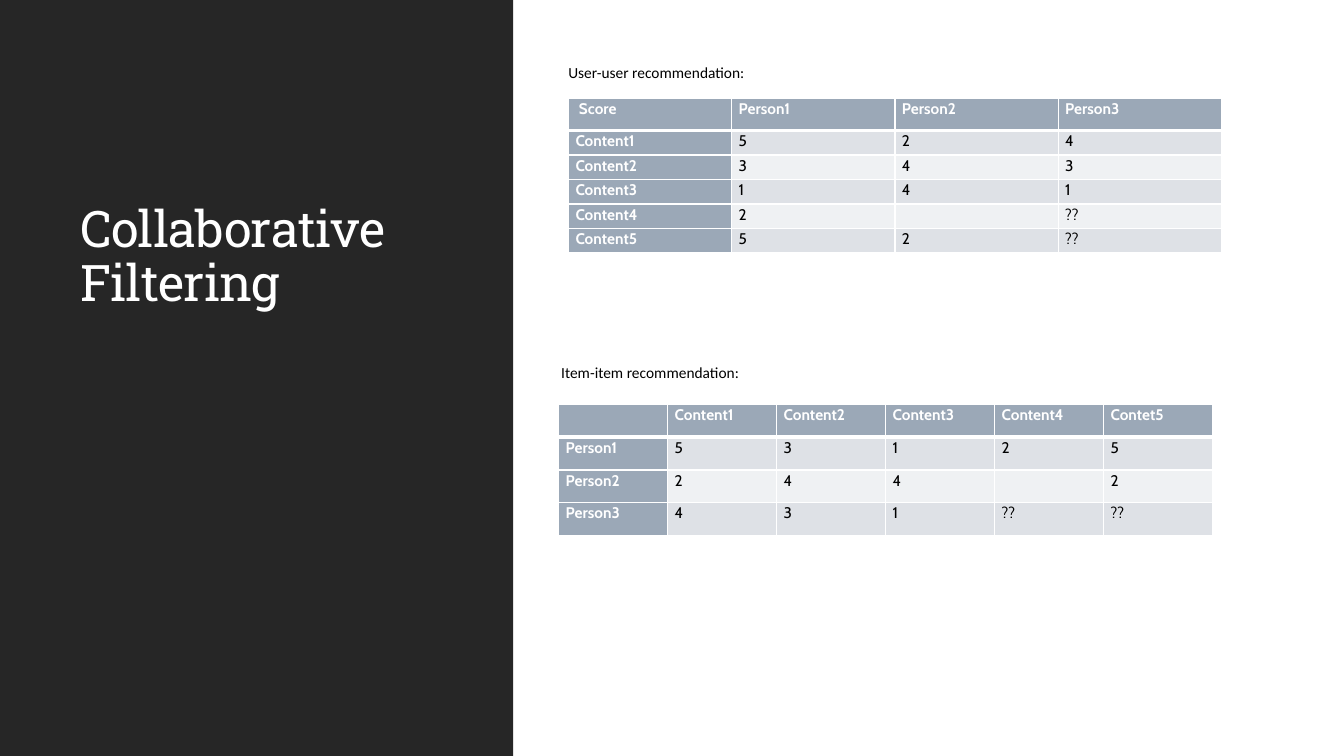
from pptx import Presentation
from pptx.dml.color import RGBColor
from pptx.enum.shapes import MSO_SHAPE
from pptx.enum.text import MSO_ANCHOR, MSO_AUTO_SIZE
from pptx.oxml import parse_xml
from pptx.oxml.ns import nsdecls
from pptx.util import Pt

DARK = RGBColor(0x26, 0x26, 0x26)
WHITE = RGBColor(0xFF, 0xFF, 0xFF)
BLACK = RGBColor(0, 0, 0)
HEAD = RGBColor(0x9B, 0xA8, 0xB7)
BANDS = [RGBColor(0xEF, 0xF1, 0xF3), RGBColor(0xDE, 0xE1, 0xE6)]

USERS = [
    [" Score", "Person1", "Person2", "Person3"],
    ["Content1", "5", "2", "4"],
    ["Content2", "3", "4", "3"],
    ["Content3", "1", "4", "1"],
    ["Content4", "2", "", "??"],
    ["Content5", "5", "2", "??"],
]
ITEMS = [
    ["", "Content1", "Content2", "Content3", "Content4", "Contet5"],
    ["Person1", "5", "3", "1", "2", "5"],
    ["Person2", "2", "4", "4", "", "2"],
    ["Person3", "4", "3", "1", "??", "??"],
]


def add_run(para, text, size, font, color):
    run = para.add_run()
    run.text = text
    run.font.size = Pt(size)
    run.font.name = font
    run.font.color.rgb = color
    return run


def style_cell(cell, text, row, col):
    """Fill in one cell: white rules, header or band fill, and text."""
    props = cell._tc.get_or_add_tcPr()
    for side in "LRTB":
        # The rule between the header row and the body is heavier.
        thick = (row, side) in [(0, "B"), (1, "T")]
        props.append(parse_xml(
            f'<a:ln{side} {nsdecls("a")} w="{Pt(3 if thick else 1)}">'
            f'<a:solidFill><a:srgbClr val="{WHITE}"/></a:solidFill></a:ln{side}>'))
    head = row == 0 or col == 0
    cell.fill.solid()
    cell.fill.fore_color.rgb = HEAD if head else BANDS[row % 2]
    cell.margin_left = cell.margin_right = Pt(5)
    cell.margin_top = cell.margin_bottom = 0
    para = cell.text_frame.paragraphs[0]
    para.line_spacing = 1.07
    if text:
        run = add_run(para, text, 11, "Cabin", WHITE if head else BLACK)
        run.font.bold = head
    else:
        para._p.append(parse_xml(f'<a:endParaRPr {nsdecls("a")} sz="1100"/>'))


deck = Presentation()
deck.slide_width, deck.slide_height = Pt(960), Pt(540)
slide = deck.slides.add_slide(deck.slide_layouts[6])
shapes = slide.shapes

# Dark side panel with the title
panel = shapes.add_shape(MSO_SHAPE.RECTANGLE, 0, 0, Pt(366.5), Pt(540))
panel.shadow.inherit = False
panel.fill.solid()
panel.fill.fore_color.rgb = DARK
panel.line.fill.background()

title = shapes.add_textbox(Pt(50.4), Pt(62), Pt(277), Pt(165)).text_frame
title.word_wrap = True
title.vertical_anchor = MSO_ANCHOR.BOTTOM
para = title.paragraphs[0]
para.line_spacing = 0.9
run = add_run(para, "Collaborative Filtering", 36, "Roboto Slab", WHITE)
run.font._element.set("spc", "-50")

# Score tables: left, top, column width, header height, row height
for data, left, top, wide, first, high in [
    (USERS, 406.1, 70.4, 116.6, 22.8, 17.5),
    (ITEMS, 399.1, 288.9, 77.85, 23.4, 23.4),
]:
    rows, cols = len(data), len(data[0])
    total = first + high * (rows - 1)
    table = shapes.add_table(rows, cols, Pt(left), Pt(top),
                             Pt(wide * cols), Pt(total)).table
    table.first_col = True
    for col in table.columns:
        col.width = Pt(wide)
    for r, line in enumerate(data):
        table.rows[r].height = Pt(high if r else first)
        for c, text in enumerate(line):
            style_cell(table.cell(r, c), text, r, c)

# Table captions
for text, left, top in [
    ("User-user recommendation:", 398.9, 41.2),
    ("Item-item recommendation:", 393.8, 255.6),
]:
    label = shapes.add_textbox(Pt(left), Pt(top), Pt(535), Pt(20.9)).text_frame
    label.word_wrap = True
    label.auto_size = MSO_AUTO_SIZE.SHAPE_TO_FIT_TEXT
    label.vertical_anchor = MSO_ANCHOR.MIDDLE
    add_run(label.paragraphs[0], text, 11, "Calibri", BLACK)

deck.save("out.pptx")
